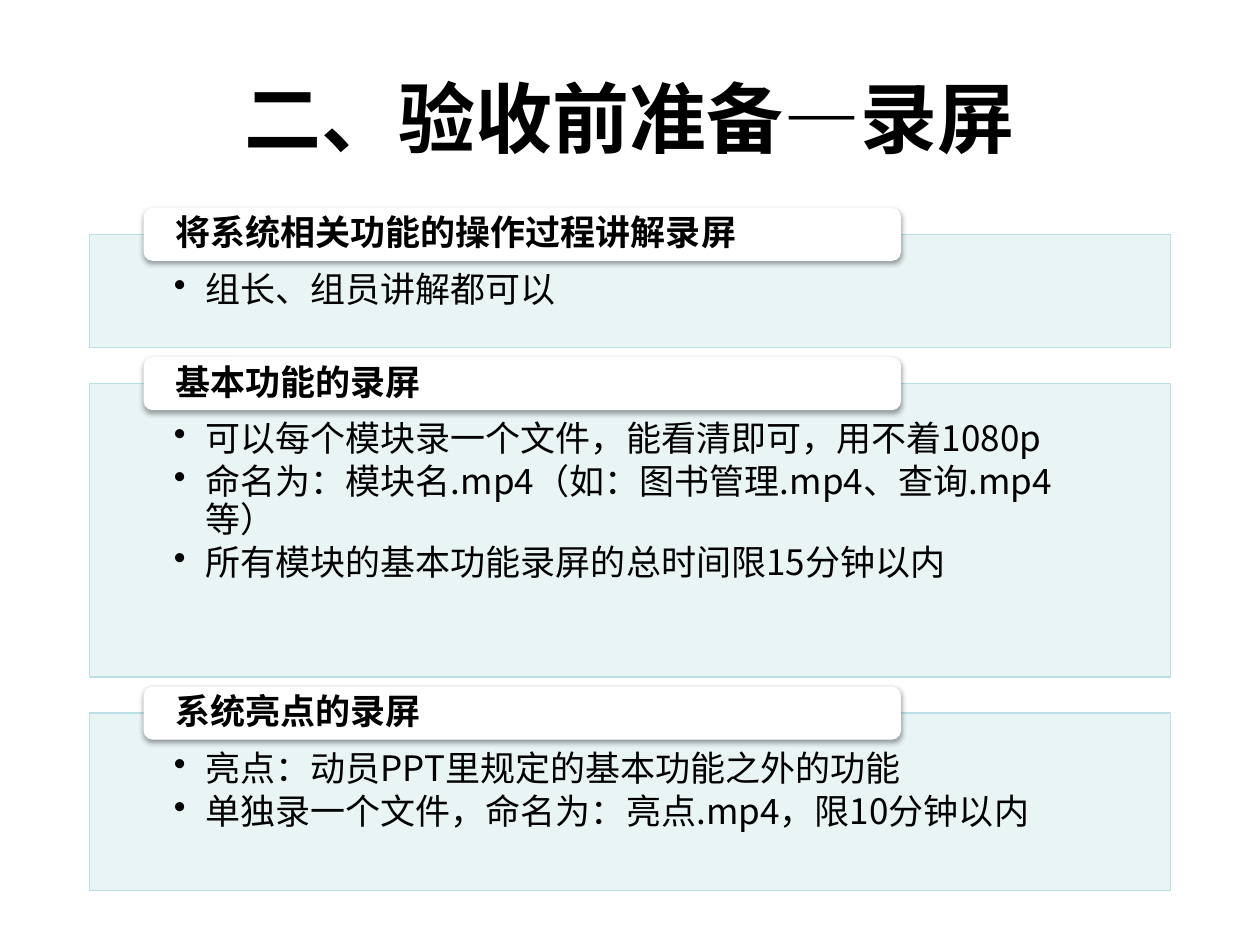
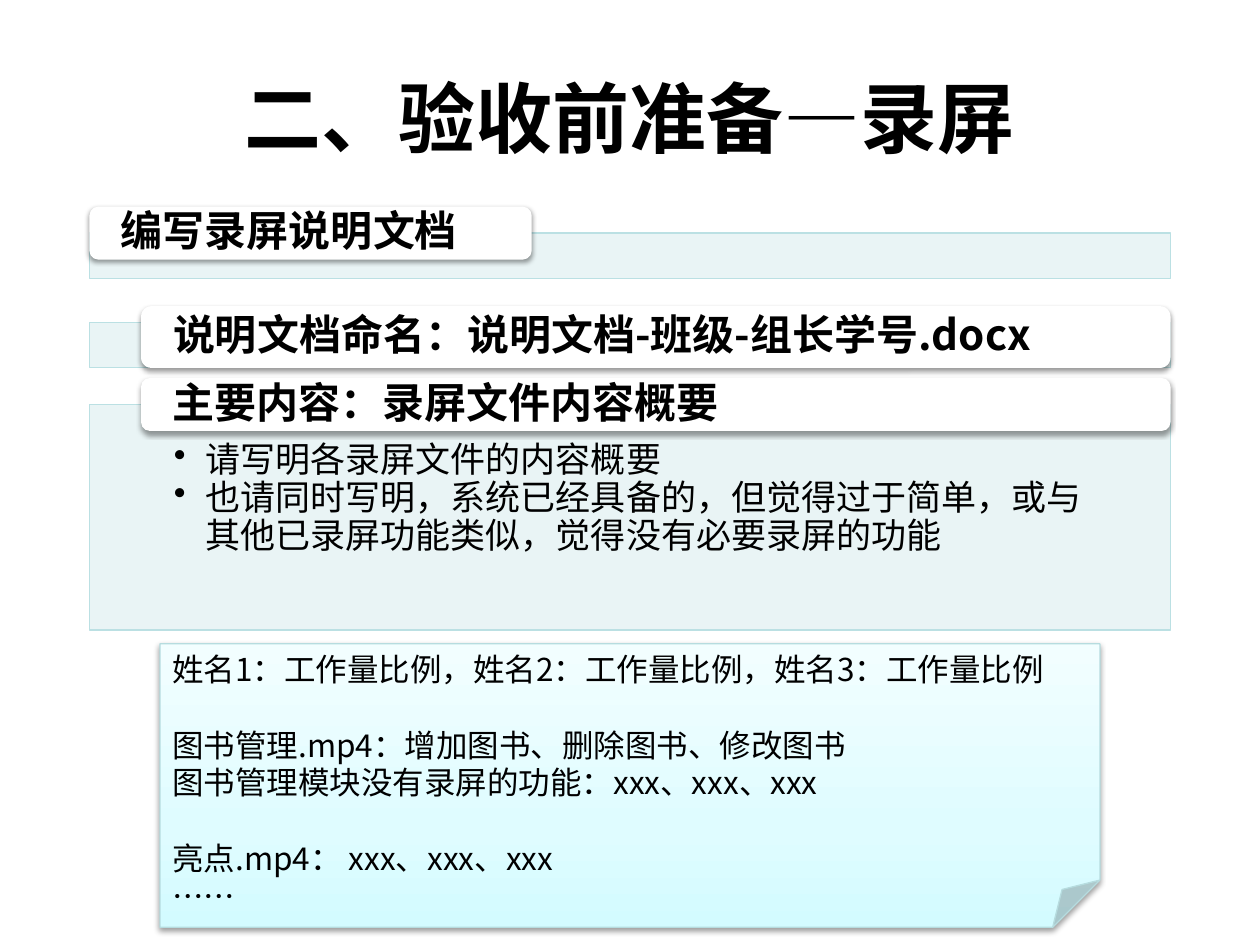
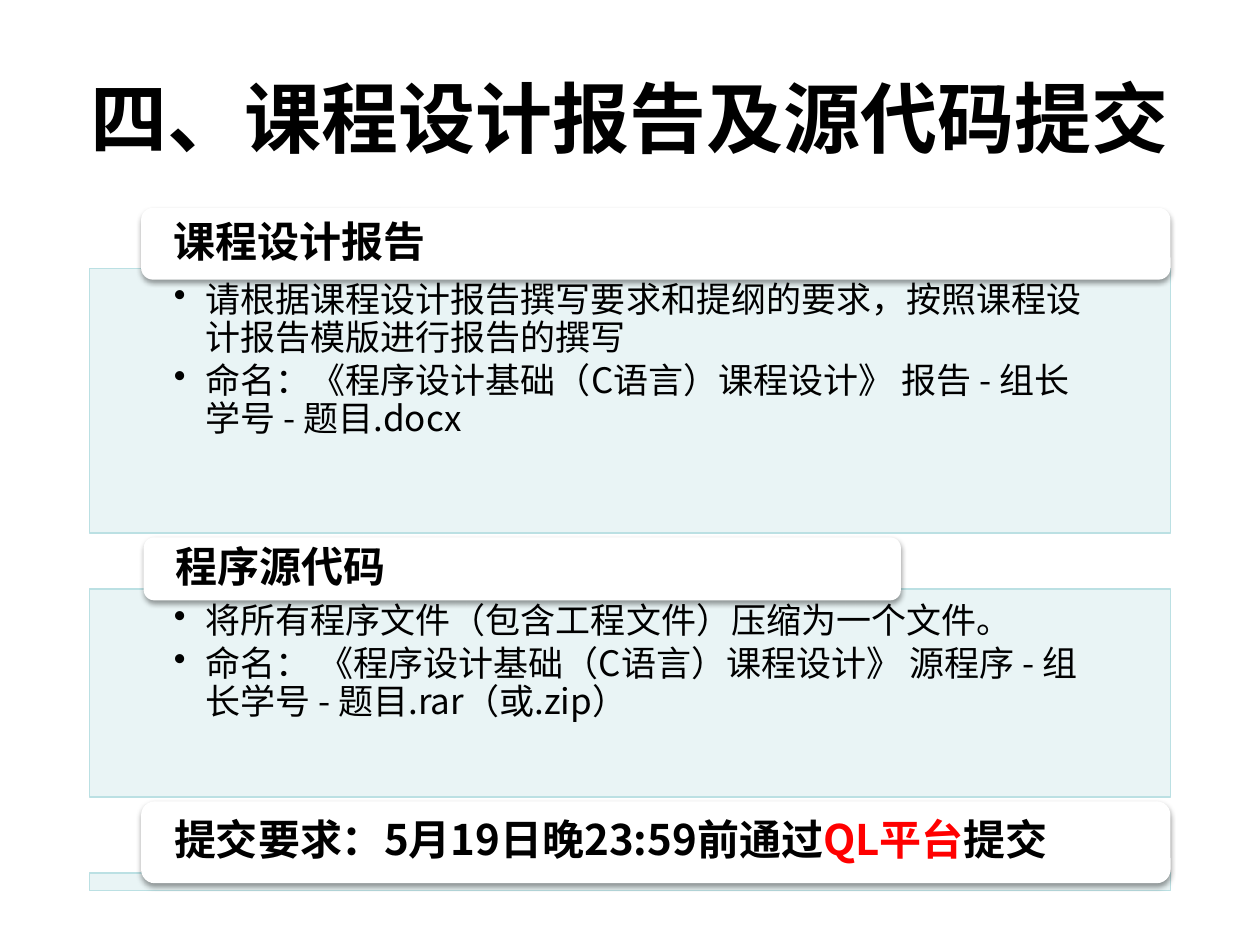
import copy
from dataclasses import dataclass

import lxml.etree
import pptx
import pptx.dml.color
import pptx.enum.shapes
import pptx.enum.text
import pptx.oxml.ns
import pptx.util

FONT = "Noto Sans CJK SC"
BLACK, WHITE, RED = "000000", "FFFFFF", "FF0000"
BAND_FILL, BAND_LINE, NOTE_LINE = "E7F3F4", "BBE0E3", "B6DCDF"
NOTE_GRADIENT = ((0, "D3FBFF"), (0.35, "DFFCFF"), (1, "F2FEFF"))

SLIDE_WIDTH, SLIDE_HEIGHT = 10, 7.5
COLUMNS, ROWS = 100, 75
BAND_LEFT, BAND_WIDTH = 7.1, 85.8
SHORT_TAB = (4.3, 60.1)
WIDE_TAB = (4.1, 81.7)
EDGE_TAB = (0, 35.1)
SHAPES = pptx.enum.shapes.MSO_SHAPE
ANCHORS = pptx.enum.text.MSO_ANCHOR


@dataclass
class Section:
    heading: tuple
    bullets: tuple
    band_height: float
    tab: tuple = WIDE_TAB
    tab_height: float = 4.2
    rise: float = 2.1
    gap: float = 0
    heading_size: int = 24
    bullet_inset: float = 0.3
    bullet_gap: int = 3


def color(value):
    return pptx.dml.color.RGBColor.from_string(value)


def grid(left, top, width, height):
    column, row = SLIDE_WIDTH / COLUMNS, SLIDE_HEIGHT / ROWS
    lengths = (left * column, top * row, width * column, height * row)
    return [pptx.util.Inches(length) for length in lengths]


def add_child(parent, tag, **attributes):
    child = lxml.etree.SubElement(parent, pptx.oxml.ns.qn(tag))
    for name, value in attributes.items():
        child.set(name, str(value))
    return child


def add_shape(slide, kind, box, fill=None, line=None):
    shape = slide.shapes.add_shape(kind, *grid(*box))
    shape.shadow.inherit = False
    if fill:
        shape.fill.solid()
        shape.fill.fore_color.rgb = color(fill)
    if line:
        shape.line.color.rgb = color(line)
        shape.line.width = pptx.util.Pt(0.75)
    else:
        shape.line.fill.background()
    return shape


def add_shadow(shape):
    effects = shape._element.spPr.find(pptx.oxml.ns.qn("a:effectLst"))
    shadow = add_child(effects, "a:outerShdw", blurRad=pptx.util.Pt(3.1),
                       dist=pptx.util.Pt(1.6), dir=90 * 60000, rotWithShape=0)
    shade = add_child(shadow, "a:srgbClr", val=BLACK)
    add_child(shade, "a:alpha", val=38000)


def set_frame(shape, anchor, left, top, right, bottom):
    frame = shape.text_frame
    frame.word_wrap = True
    frame.vertical_anchor = anchor
    frame.margin_left, frame.margin_top = pptx.util.Inches(left), pptx.util.Inches(top)
    frame.margin_right, frame.margin_bottom = pptx.util.Inches(right), pptx.util.Inches(bottom)
    return frame


def add_paragraph(frame, index, runs, size, bold=False, spacing=1.0, before=0, after=0,
                  alignment=pptx.enum.text.PP_ALIGN.LEFT):
    paragraph = frame.add_paragraph() if index else frame.paragraphs[0]
    paragraph.alignment = alignment
    paragraph.line_spacing = spacing
    paragraph.space_before = pptx.util.Pt(before)
    paragraph.space_after = pptx.util.Pt(after)
    for text, text_color in runs:
        run = paragraph.add_run()
        run.text = text
        run.font.size = pptx.util.Pt(size)
        run.font.bold = bold
        run.font.name = FONT
        run.font.color.rgb = color(text_color)
        add_child(run._r.get_or_add_rPr(), "a:ea", typeface=FONT)
    return paragraph


def add_bullet(paragraph):
    properties = paragraph._p.get_or_add_pPr()
    indent = pptx.util.Inches(0.25)
    properties.set("marL", str(indent))
    properties.set("indent", str(-indent))
    add_child(properties, "a:buChar", char="•")


def add_title(slide, text):
    title = slide.shapes.add_textbox(*grid(5, 3, 90, 12.5))
    frame = set_frame(title, ANCHORS.MIDDLE, 0.1, 0.05, 0.1, 0.05)
    add_paragraph(frame, 0, [(text, BLACK)], 44, bold=True, before=12, after=12,
                  alignment=pptx.enum.text.PP_ALIGN.CENTER)


def add_section(slide, top, section):
    band_top = top + section.rise
    band = add_shape(slide, SHAPES.RECTANGLE,
                     (BAND_LEFT, band_top, BAND_WIDTH, section.band_height),
                     BAND_FILL, BAND_LINE)
    fill = band._element.spPr.find(pptx.oxml.ns.qn("a:solidFill"))
    add_child(fill[0], "a:alpha", val=90000)
    if section.bullets:
        frame = set_frame(band, ANCHORS.TOP, 0.67, section.bullet_inset, 0.67, 0.16)
        for index, text in enumerate(section.bullets):
            add_bullet(add_paragraph(frame, index, [(text, BLACK)], 20, spacing=0.9,
                                     after=section.bullet_gap))

    indent, width = section.tab
    tab = add_shape(slide, SHAPES.ROUNDED_RECTANGLE,
                    (BAND_LEFT + indent, top, width, section.tab_height), WHITE)
    add_shadow(tab)
    frame = set_frame(tab, ANCHORS.MIDDLE, 0.23, 0, 0.23, 0)
    add_paragraph(frame, 0, section.heading, section.heading_size, bold=True, spacing=0.9)
    return band_top + section.band_height


def add_note(slide, box, groups):
    note = add_shape(slide, SHAPES.FOLDED_CORNER, box, line=NOTE_LINE)
    add_shadow(note)
    note.fill.gradient()
    note.fill.gradient_angle = 90
    stops = note._element.spPr.find(".//" + pptx.oxml.ns.qn("a:gsLst"))
    stops.insert(1, copy.deepcopy(stops[0]))
    for stop, (position, value) in zip(note.fill.gradient_stops, NOTE_GRADIENT):
        stop.position = position
        stop.color.rgb = color(value)

    frame = set_frame(note, ANCHORS.TOP, 0.1, 0.05, 0.1, 0)
    for group_index, group in enumerate(groups):
        for line_index, text in enumerate(group):
            starts_group = group_index > 0 and line_index == 0
            add_paragraph(frame, group_index + line_index, [(text, BLACK)], 18,
                          before=21.6 if starts_group else 0)


def add_sections_slide(presentation, title, top, sections):
    slide = presentation.slides.add_slide(presentation.slide_layouts[6])
    add_title(slide, title)
    for section in sections:
        top = add_section(slide, top + section.gap, section)
    return slide


def main():
    presentation = pptx.Presentation()
    presentation.slide_width = pptx.util.Inches(SLIDE_WIDTH)
    presentation.slide_height = pptx.util.Inches(SLIDE_HEIGHT)
    recording_title = "二、验收前准备—录屏"

    recording = (
        ("将系统相关功能的操作过程讲解录屏", 9, 0, ("组长、组员讲解都可以",)),
        ("基本功能的录屏", 23.3, 0.75, (
            "可以每个模块录一个文件，能看清即可，用不着1080p",
            "命名为：模块名.mp4（如：图书管理.mp4、查询.mp4等）",
            "所有模块的基本功能录屏的总时间限15分钟以内")),
        ("系统亮点的录屏", 14.1, 0.75, (
            "亮点：动员PPT里规定的基本功能之外的功能",
            "单独录一个文件，命名为：亮点.mp4，限10分钟以内")),
    )
    add_sections_slide(presentation, recording_title, 16.5, [
        Section(((heading, BLACK),), bullets, height, SHORT_TAB, gap=gap, heading_size=20)
        for heading, height, gap, bullets in recording])

    document_slide = add_sections_slide(presentation, recording_title, 16.4, [
        Section((("编写录屏说明文档", BLACK),), (), 3.6, EDGE_TAB),
        Section((("说明文档命名：说明文档-班级-组长学号.docx", BLACK),), (), 3.6,
                tab_height=4.9, rise=1.3, gap=2.2),
        Section((("主要内容：录屏文件内容概要", BLACK),), (
            "请写明各录屏文件的内容概要",
            "也请同时写明，系统已经具备的，但觉得过于简单，或与其他已录屏功能类似，觉得没有必要录屏的功能"),
            17.9, gap=0.8, bullet_gap=0),
    ])
    add_note(document_slide, (12.7, 51.1, 74.6, 22.5), (
        ("姓名1：工作量比例，姓名2：工作量比例，姓名3：工作量比例",),
        ("图书管理.mp4：增加图书、删除图书、修改图书",
         "图书管理模块没有录屏的功能：xxx、xxx、xxx"),
        ("亮点.mp4： xxx、xxx、xxx", "……"),
    ))

    add_sections_slide(presentation, "四、课程设计报告及源代码提交", 16.5, [
        Section((("课程设计报告", BLACK),), (
            "请根据课程设计报告撰写要求和提纲的要求，按照课程设计报告模版进行报告的撰写",
            "命名：《程序设计基础（C语言）课程设计》 报告 - 组长学号 - 题目.docx"),
            21, tab_height=5.7, rise=4.8, bullet_inset=0.11),
        Section((("程序源代码", BLACK),), (
            "将所有程序文件（包含工程文件）压缩为一个文件。",
            "命名： 《程序设计基础（C语言）课程设计》 源程序 - 组长学号 - 题目.rar（或.zip）"),
            16.5, SHORT_TAB, tab_height=5, rise=4.1, gap=0.35, bullet_inset=0.11),
        Section((("提交要求：5月19日晚23:59前通过", BLACK), ("QL平台", RED), ("提交", BLACK)), (),
                1.4, tab_height=6.5, rise=5.7, gap=0.35),
    ])
    presentation.save("out.pptx")


if __name__ == "__main__":
    main()
